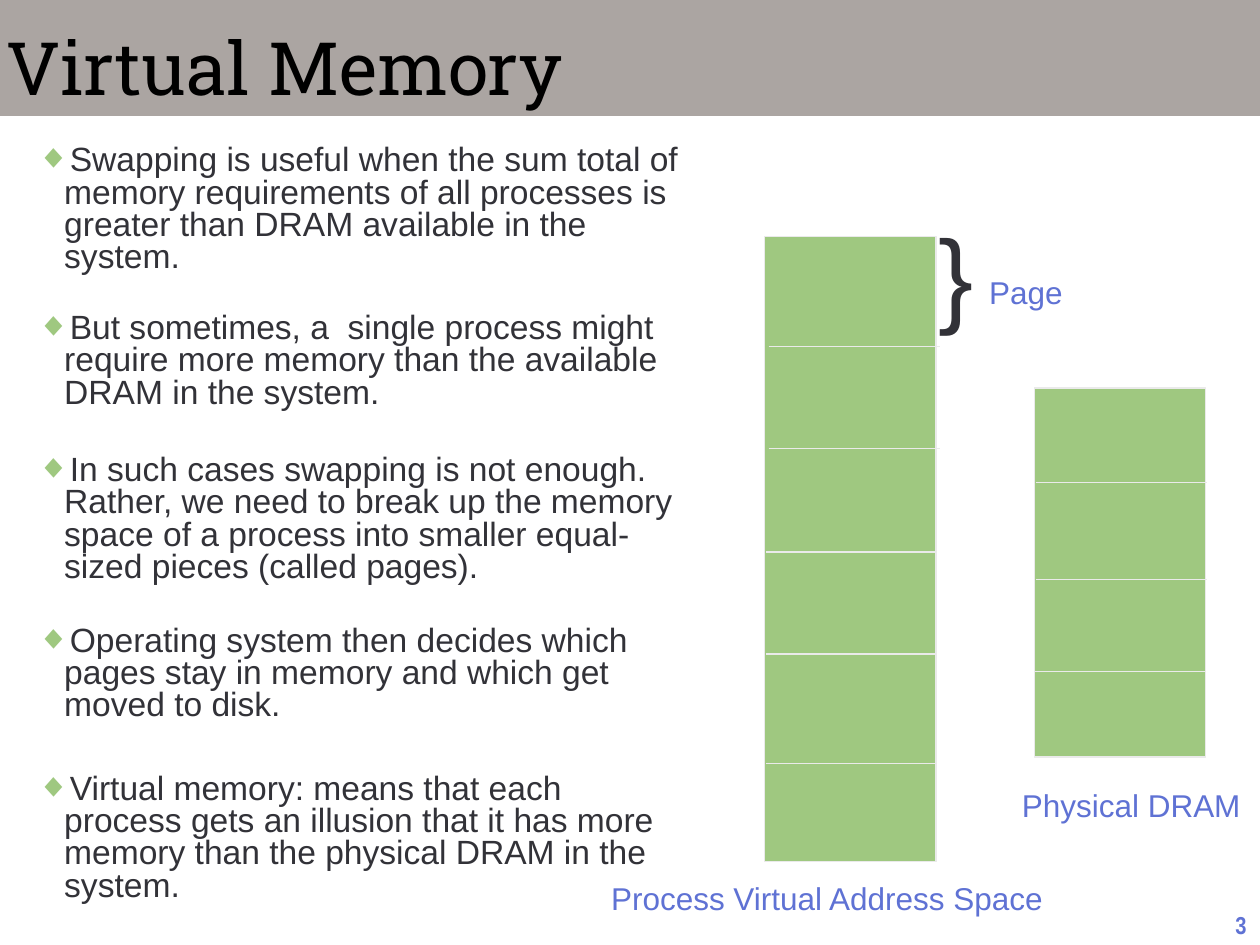
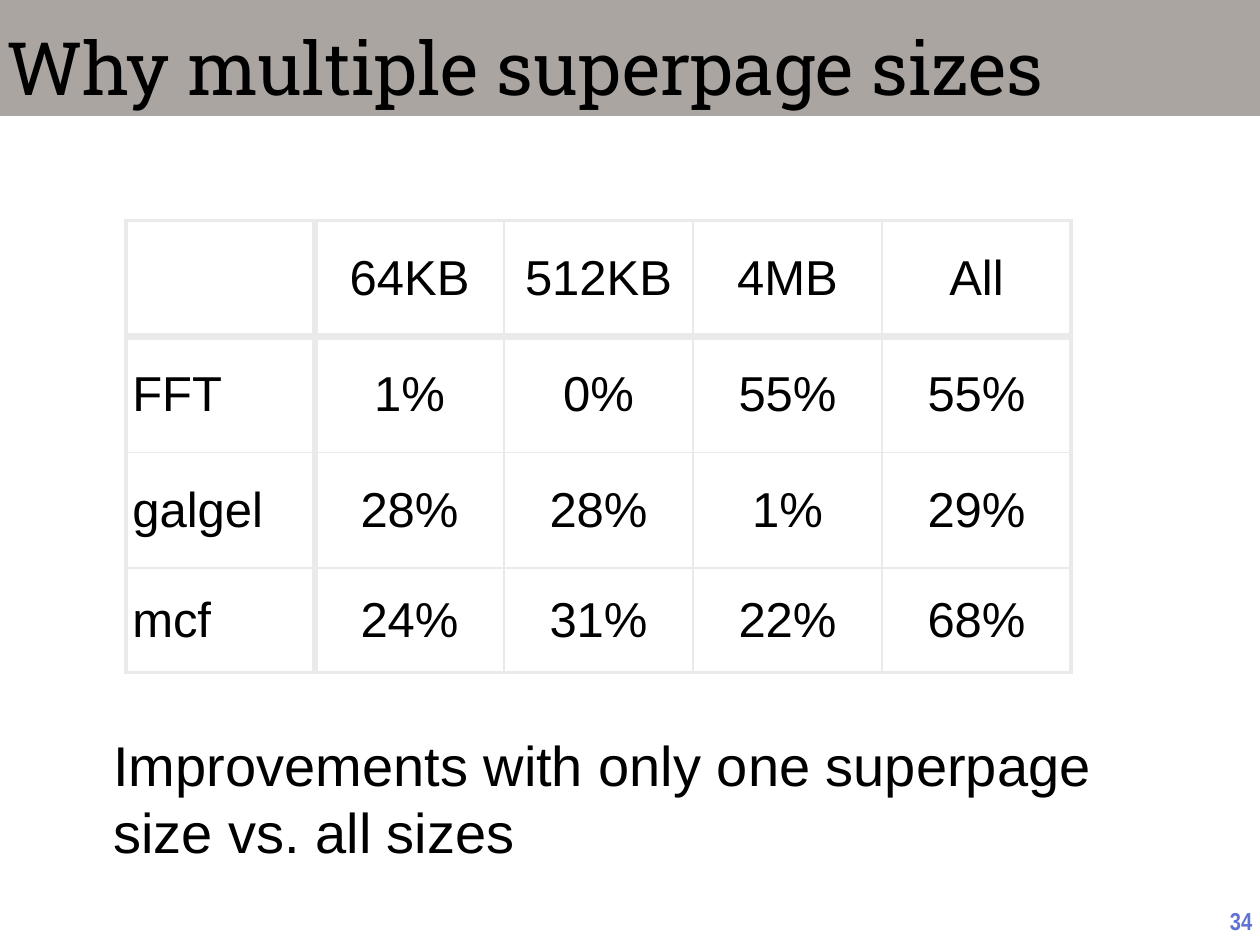
from lxml.etree import SubElement
from pptx import Presentation
from pptx.dml.color import RGBColor as Rgb
from pptx.enum.shapes import MSO_CONNECTOR as Connector, MSO_SHAPE as Shape
from pptx.enum.text import MSO_ANCHOR as Anchor, MSO_AUTO_SIZE as AutoSize, PP_ALIGN as Align
from pptx.oxml.ns import qn
from pptx.util import Inches, Pt

COLORS = {
    "band": "584D46",
    "title": "000000",
    "body": "323238",
    "accent": "5F72D4",
    "page": "9FC880",
    "rule": "EAEAEA",
}
BODY_FONT = "Arial"
INSET = Inches(0.05)


def rgb(name):
    return Rgb.from_string(COLORS[name])


class Deck:
    def __init__(self):
        self.prs = Presentation()
        self.prs.slide_width, self.prs.slide_height = Inches(10), Inches(7.5)
        self.slide = None

    def new_slide(self, title, number, number_spacing=None):
        """Start a slide with its title band and page number."""
        self.slide = self.prs.slides.add_slide(self.prs.slide_layouts[6])
        band = self.box(0, 0, 10, 0.92, "band")
        color = band.fill._xPr.find(qn("a:solidFill"))[0]
        SubElement(color, qn("a:alpha"), val="50000")
        self.text(title, 0, 0, 10, 0.92, 42, "title", font="Roboto Slab",
                  anchor=Anchor.BOTTOM, spacing=0.8)
        self.text(str(number), 9.6, 7.17, 0.5, 0.32, 14, "accent", font="Arial Narrow",
                  bold=True, align=Align.CENTER, spacing=number_spacing)

    def box(self, left, top, width, height, fill, line=None):
        rect = self.slide.shapes.add_shape(
            Shape.RECTANGLE, Inches(left), Inches(top), Inches(width), Inches(height))
        rect.shadow.inherit = False
        rect.fill.solid()
        rect.fill.fore_color.rgb = rgb(fill)
        if line:
            rect.line.color.rgb = rgb(line)
            rect.line.width = Pt(0.75)
        else:
            rect.line.fill.background()
        return rect

    def frame(self, left, top, width, height, wrap=True):
        frame = self.slide.shapes.add_textbox(
            Inches(left), Inches(top), Inches(width), Inches(height)).text_frame
        frame.margin_left = frame.margin_right = INSET
        frame.margin_top = frame.margin_bottom = INSET
        frame.word_wrap = wrap
        return frame

    def style(self, paragraph, size, color, font=BODY_FONT, bold=False):
        for run in paragraph.runs:
            run.font.name, run.font.size, run.font.bold = font, Pt(size), bold
            run.font.color.rgb = rgb(color)

    def text(self, words, left, top, width, height, size, color, font=BODY_FONT,
             bold=False, align=None, anchor=Anchor.TOP, spacing=None):
        frame = self.frame(left, top, width, height)
        frame.vertical_anchor = anchor
        frame.text = words
        paragraph = frame.paragraphs[0]
        paragraph.alignment, paragraph.line_spacing = align, spacing
        self.style(paragraph, size, color, font, bold)

    def label(self, words, left, top, width, height=0.41, size=18, color="accent"):
        """Place one unwrapped line whose box grows with it."""
        frame = self.frame(left, top, width, height, wrap=False)
        frame.auto_size = AutoSize.SHAPE_TO_FIT_TEXT
        frame.text = words
        self.style(frame.paragraphs[0], size, color)

    def bullets(self, items, left, top, width, height):
        """Add bullets from (space before in points, words) pairs."""
        frame = self.frame(left, top, width, height)
        for index, (gap, words) in enumerate(items):
            paragraph = frame.add_paragraph() if index else frame.paragraphs[0]
            paragraph.text = words
            props = paragraph._p.get_or_add_pPr()
            props.set("marL", str(Inches(0.22)))
            props.set("indent", str(-Inches(0.22)))
            SubElement(SubElement(props, qn("a:buClr")), qn("a:srgbClr"), val=COLORS["page"])
            SubElement(props, qn("a:buFont"), typeface=BODY_FONT)
            SubElement(props, qn("a:buChar"), char="◆")
            paragraph.line_spacing = 0.8
            paragraph.space_before = Pt(gap)
            self.style(paragraph, 19.2, "body")

    def divider(self, left, y, width):
        line = self.slide.shapes.add_connector(
            Connector.STRAIGHT, Inches(left), Inches(y), Inches(left + width), Inches(y))
        line.line.color.rgb = rgb("rule")
        line.line.width = Pt(0.75)
        SubElement(line._element.spPr, qn("a:effectLst"))

    def memory(self, left, top, width, height, dividers):
        """Draw a block of memory cut into pages at (left, y) dividers."""
        self.box(left, top, width, height, "page", line="rule")
        for start, y in dividers:
            self.divider(start, y, width)

    def border(self, cell, **weights):
        props = cell._tc.get_or_add_tcPr()
        for side, points in weights.items():
            line = SubElement(props, qn(f"a:ln{side}"), w=str(Pt(points)))
            SubElement(SubElement(line, qn("a:solidFill")), qn("a:srgbClr"), val=COLORS["rule"])

    def table(self, rows, left, top, col_width, row_heights, col_rules, row_rules):
        """Add a table; the rules are line weights from edge to edge."""
        cols = len(rows[0])
        grid = self.slide.shapes.add_table(
            len(rows), cols, Inches(left), Inches(top),
            Inches(col_width * cols), Inches(sum(row_heights))).table
        grid.first_row = grid.horz_banding = False
        for column in grid.columns:
            column.width = Inches(col_width)
        for r, (row, height) in enumerate(zip(rows, row_heights)):
            grid.rows[r].height = Inches(height)
            for c, words in enumerate(row):
                cell = grid.cell(r, c)
                cell.text = words
                cell.vertical_anchor = Anchor.MIDDLE
                cell.margin_left = cell.margin_right = INSET
                cell.margin_top = cell.margin_bottom = INSET
                self.border(cell, L=col_rules[c], R=col_rules[c + 1],
                            T=row_rules[r], B=row_rules[r + 1])
                cell.fill.background()
                paragraph = cell.text_frame.paragraphs[0]
                paragraph.alignment = Align.CENTER if c else Align.LEFT
                self.style(paragraph, 28, "title")


def virtual_memory(deck):
    deck.new_slide("Virtual Memory", 3)
    deck.bullets([
        (0, "Swapping is useful when the sum total of memory requirements of all "
            "processes is greater than DRAM available in the system."),
        (22.2, "But sometimes, a  single process might require more memory than the "
               "available DRAM in the system."),
        (25.8, "In such cases swapping is not enough. Rather, we need to break up the "
               "memory space of a process into smaller equal-sized pieces (called pages)."),
        (23.9, "Operating system then decides which pages stay in memory and which get "
               "moved to disk."),
        (29.3, "Virtual memory: means that each process gets an illusion that it has "
               "more memory than the physical DRAM in the system."),
    ], 0.24, 1.11, 5.26, 6.19)

    # Address space and DRAM, cut into pages
    deck.memory(6.07, 1.88, 1.36, 4.96,
                [(6.1, 2.75), (6.1, 3.56), (6.08, 4.38), (6.08, 5.19), (6.08, 6.06)])
    deck.memory(8.21, 3.08, 1.36, 2.93, [(8.22, 3.83), (8.22, 4.6), (8.21, 5.33)])

    # Labels
    deck.label("Process Virtual Address Space", 4.8, 6.93, 3.54)
    deck.label("Physical DRAM", 8.06, 6.19, 1.85)
    deck.label("Page", 7.8, 2.12, 0.7)
    deck.label("}", 7.4, 1.61, 0.39, height=1.1, size=60, color="body")


def superpage_sizes(deck):
    deck.new_slide("Why multiple superpage sizes", 34, number_spacing=0.9)
    deck.text("Improvements with only one superpage size vs. all sizes",
              0.85, 5.75, 8.47, 1.25, 32, "title")
    deck.table([
        ["", "64KB", "512KB", "4MB", "All"],
        ["FFT", "1%", "0%", "55%", "55%"],
        ["galgel", "28%", "28%", "1%", "29%"],
        ["mcf", "24%", "31%", "22%", "68%"],
    ], 1, 1.75, col_width=1.5, row_heights=[0.92, 0.92, 0.92, 0.83],
        col_rules=[2.25, 4.5, 1, 1, 1, 2.25], row_rules=[2.25, 4.5, 1, 1, 2.25])


def main():
    deck = Deck()
    virtual_memory(deck)
    superpage_sizes(deck)
    deck.prs.save("out.pptx")


if __name__ == "__main__":
    main()
